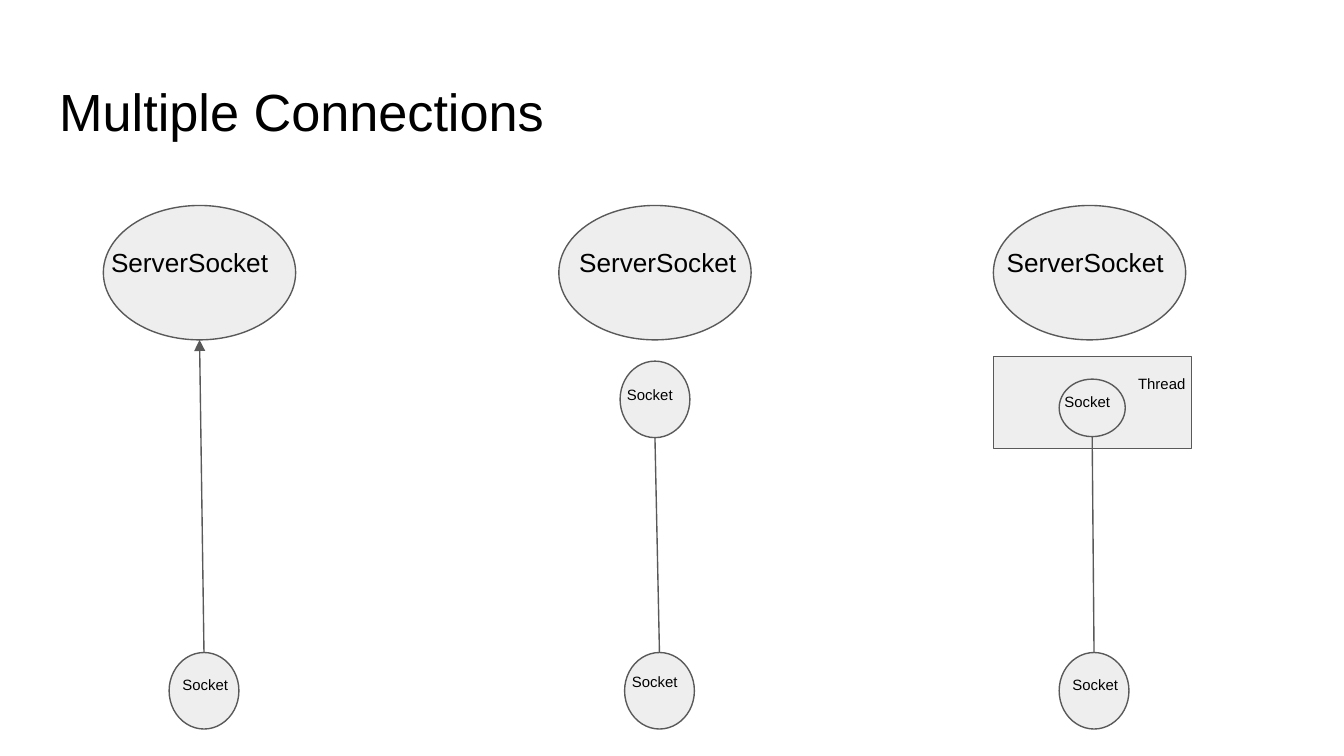
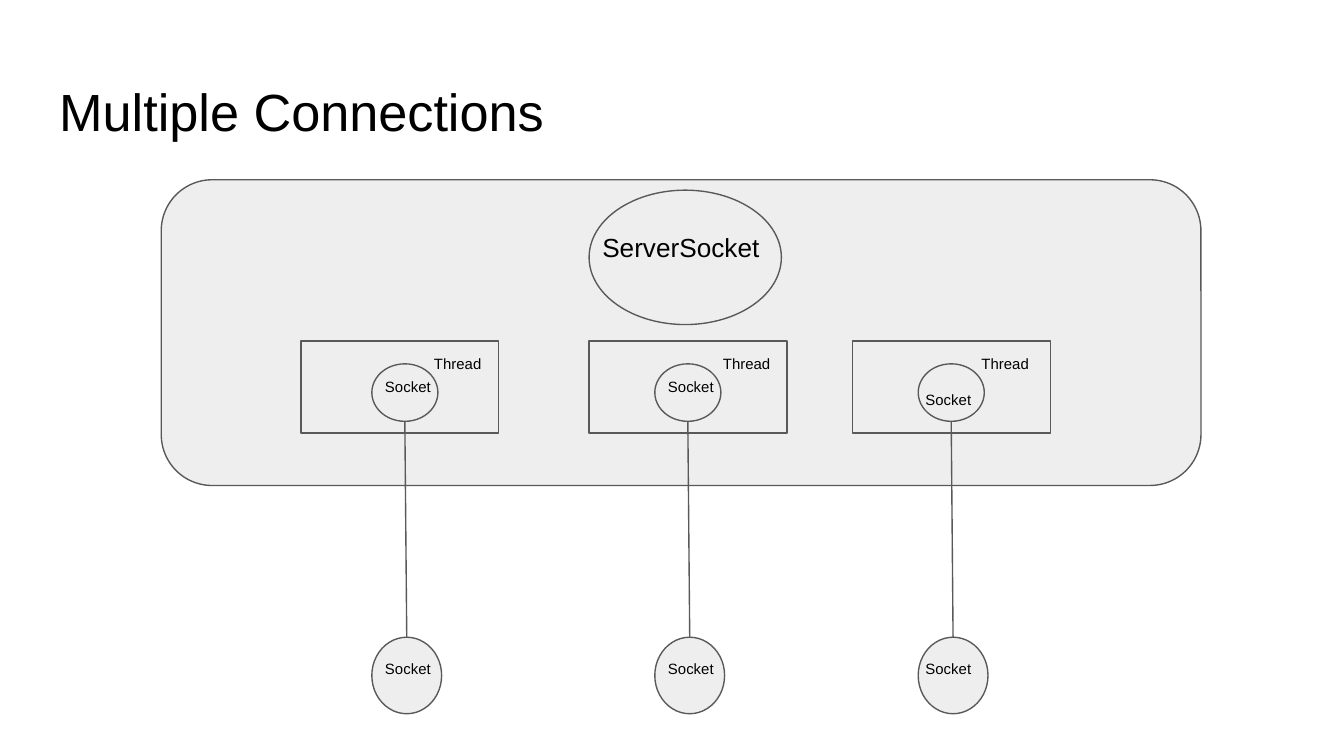
from lxml import etree
from pptx import Presentation
from pptx.dml.color import RGBColor
from pptx.enum import shapes, text
from pptx.oxml import ns
from pptx.util import Pt

FILL = RGBColor(0xEE, 0xEE, 0xEE)
OUTLINE = RGBColor(0x59, 0x59, 0x59)
BLACK = RGBColor(0, 0, 0)
FONT = "Arial"
TITLE = "Multiple Connections"
TITLE_BOX = (24.5, 35.1, 671, 45.1)

# Sizes of the parts, and distances down from the top of the server socket
SERVER_SIZE = (103, 72)
SOCKET_SIZE = (37.4, 41)
THREAD_SIZE = (106, 49.4)
HANDLER_SIZE = (35.4, 30.8)
SERVER_NAME_SIZE, SMALL_NAME_SIZE = (363, 42.5), (103, 31)
CLIENT_DROP, ACCEPTED_DROP, THREAD_DROP = 239.5, 83.4, 80.8
HANDLER_DROP = THREAD_DROP + 12.2
CLIENT_INDENT = 35.2

# "*_name" is the offset of a label from the corner of its part
STAGES_TOP = 110.1
STAGES = [
    {"x": 55.4, "server_name": (-3, 14.9), "client_name": (0, 5)},
    {"x": 299.4, "server_name": (3.8, 14.9), "client_name": (-3.2, 3.8),
     "accepted_name": (-3.4, 6)},
    {"x": 532.2, "server_name": (0, 14.9), "client_name": (0, 5),
     "thread_x": 532.2, "thread_name": (70.4, 2.7), "handler_name": (-4.3, 0)},
]

SERVER_BOX = (86.4, 96.3, 557, 163.8)
POOL_TOP = 101.9
POOL_SERVER = {"x": 315.6, "server_name": (0, 14.9)}
POOL = [
    {"client_x": 199.2, "thread_x": 161.2, "thread_name": (64.2, 0),
     "handler_name": (0, 0), "client_name": (0, 5)},
    {"client_x": 350.8, "thread_x": 315.6, "thread_name": (64.6, 0),
     "handler_name": (0, 0), "client_name": (0, 5)},
    {"client_x": 491.9, "thread_x": 456.7, "thread_name": (62, 0),
     "handler_name": (-3.2, 7.4), "client_name": (-3.2, 5)},
]


def points(*lengths):
    return [Pt(length) for length in lengths]


def write(frame, words, size):
    frame.word_wrap = True
    frame.auto_size = text.MSO_AUTO_SIZE.NONE
    frame.vertical_anchor = text.MSO_ANCHOR.TOP
    frame.margin_left = frame.margin_right = Pt(7.2)
    frame.margin_top = frame.margin_bottom = Pt(7.2)
    paragraph = frame.paragraphs[0]
    paragraph.alignment = text.PP_ALIGN.LEFT
    run = paragraph.add_run()
    run.text = words
    run.font.size = Pt(size)
    run.font.name = FONT
    run.font.color.rgb = BLACK


def add_titled_slide(deck):
    slide = deck.slides.add_slide(deck.slide_layouts[5])
    title = slide.shapes.title
    title.left, title.top, title.width, title.height = points(*TITLE_BOX)
    write(title.text_frame, TITLE, 28)
    return slide


def add_part(slide, kind, x, y, size):
    part = slide.shapes.add_shape(kind, *points(x, y, *size))
    part.shadow.inherit = False
    part.fill.solid()
    part.fill.fore_color.rgb = FILL
    part.line.color.rgb = OUTLINE
    part.line.width = Pt(0.75)
    return part


def add_ellipse(slide, x, y, size):
    return add_part(slide, shapes.MSO_SHAPE.OVAL, x, y, size)


def add_name(slide, words, part, offset, box=SMALL_NAME_SIZE, size=8):
    dx, dy = points(*offset)
    name = slide.shapes.add_textbox(part.left + dx, part.top + dy, *points(*box))
    write(name.text_frame, words, size)


def link(slide, client, target, arrow=False):
    """Draw a line from the top of the client to the bottom of the target."""
    end = (target.left + target.width // 2, target.top + target.height)
    line = slide.shapes.add_connector(
        shapes.MSO_CONNECTOR.STRAIGHT, client.left, client.top, *end)
    line.begin_connect(client, 0)
    line.line.color.rgb = OUTLINE
    line.line.width = Pt(0.75)
    if arrow:
        outline = line.line._get_or_add_ln()
        etree.SubElement(outline, ns.qn("a:tailEnd"), type="triangle")
    etree.SubElement(line._element.spPr, ns.qn("a:effectLst"))


def add_server(slide, server, top):
    ellipse = add_ellipse(slide, server["x"], top, SERVER_SIZE)
    add_name(slide, "ServerSocket", ellipse, server["server_name"],
             SERVER_NAME_SIZE, 14)
    return ellipse


def add_client(slide, x, top, name_offset):
    client = add_ellipse(slide, x, top + CLIENT_DROP, SOCKET_SIZE)
    add_name(slide, "Socket", client, name_offset)
    return client


def add_thread(slide, worker, client_x, top):
    """Draw a thread with its socket inside, and return that socket."""
    thread = add_part(slide, shapes.MSO_SHAPE.RECTANGLE,
                      worker["thread_x"], top + THREAD_DROP, THREAD_SIZE)
    handler = add_ellipse(slide, client_x, top + HANDLER_DROP, HANDLER_SIZE)
    add_name(slide, "Thread", thread, worker["thread_name"])
    add_name(slide, "Socket", handler, worker["handler_name"])
    return handler


def build_stages(deck):
    slide = add_titled_slide(deck)
    for stage in STAGES:
        server = add_server(slide, stage, STAGES_TOP)
        client_x = stage["x"] + CLIENT_INDENT
        client = add_client(slide, client_x, STAGES_TOP, stage["client_name"])
        if "thread_x" in stage:
            target = add_thread(slide, stage, client_x, STAGES_TOP)
        elif "accepted_name" in stage:
            accepted_x = stage["x"] + (SERVER_SIZE[0] - SOCKET_SIZE[0]) / 2
            target = add_ellipse(slide, accepted_x, STAGES_TOP + ACCEPTED_DROP,
                                 SOCKET_SIZE)
            add_name(slide, "Socket", target, stage["accepted_name"])
        else:
            target = server
        link(slide, client, target, arrow=target is server)


def build_pool(deck):
    slide = add_titled_slide(deck)
    x, y, *size = SERVER_BOX
    add_part(slide, shapes.MSO_SHAPE.ROUNDED_RECTANGLE, x, y, size)
    add_server(slide, POOL_SERVER, POOL_TOP)
    for worker in POOL:
        client_x = worker["client_x"]
        client = add_client(slide, client_x, POOL_TOP, worker["client_name"])
        link(slide, client, add_thread(slide, worker, client_x, POOL_TOP))


def main():
    deck = Presentation()
    deck.slide_width, deck.slide_height = points(720, 405)
    build_stages(deck)
    build_pool(deck)
    deck.save("out.pptx")


if __name__ == "__main__":
    main()
